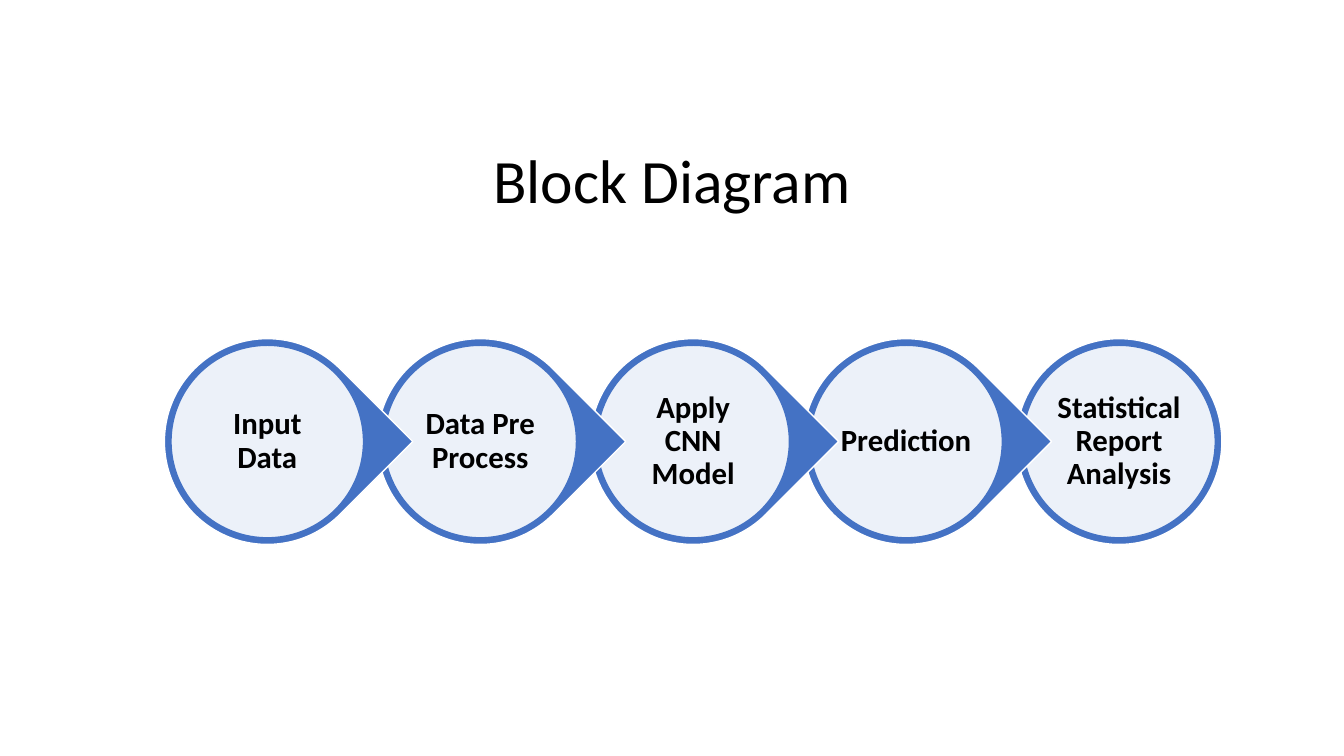
from dataclasses import dataclass

from lxml.etree import SubElement
from pptx import Presentation
from pptx.dml.color import RGBColor
from pptx.enum.shapes import MSO_SHAPE
from pptx.enum.text import MSO_ANCHOR, PP_ALIGN
from pptx.oxml.ns import qn
from pptx.shapes.autoshape import Shape
from pptx.shapes.shapetree import GroupShapes
from pptx.text.text import TextFrame
from pptx.util import Pt


@dataclass(frozen=True)
class Theme:
    blue: RGBColor = RGBColor(0x44, 0x72, 0xC4)
    white: RGBColor = RGBColor(0xFF, 0xFF, 0xFF)
    black: RGBColor = RGBColor(0, 0, 0)
    font: str = "Calibri"
    title: float = 44
    label: float = 22


@dataclass(frozen=True)
class Step:
    label: str
    mid: float
    last: bool


THEME = Theme()
LABELS = ["Input Data", "Data Pre Process", "Apply CNN Model",
          "Prediction", "Statistical Report Analysis"]
FIRST, PITCH, LEVEL = 190.9, 152.1, 315.4
RING, DISC, LABEL = 147, 137.5, 98
STEPS = [Step(label, FIRST + i * PITCH, i == len(LABELS) - 1)
         for i, label in enumerate(LABELS)]


def write(frame: TextFrame, text: str, *, size: float, bold: bool = False) -> None:
    frame.word_wrap = True
    frame.vertical_anchor = MSO_ANCHOR.MIDDLE
    frame.text = text
    para = frame.paragraphs[0]
    para.alignment = PP_ALIGN.CENTER
    para.line_spacing = 0.9
    font = para.runs[0].font
    font.name, font.size, font.bold = THEME.font, Pt(size), bold
    font.color.rgb = THEME.black


def place(mid: float, size: float) -> tuple[Pt, Pt, Pt, Pt]:
    return Pt(mid - size / 2), Pt(LEVEL - size / 2), Pt(size), Pt(size)


def draw_round(shapes: GroupShapes, kind: MSO_SHAPE, mid: float, size: float,
               fill: RGBColor, line: RGBColor) -> Shape:
    shape = shapes.add_shape(kind, *place(mid, size))
    shape.shadow.inherit = False
    shape.fill.solid()
    shape.fill.fore_color.rgb = fill
    shape.line.color.rgb = line
    shape.line.width = Pt(1)
    return shape


def fade(shape: Shape, share: int) -> None:
    color = shape.fill._xPr.find(qn("a:solidFill"))[0]
    SubElement(color, qn("a:alpha")).set("val", str(share * 1000))


def draw_step(shapes: GroupShapes, step: Step) -> None:
    kind = MSO_SHAPE.OVAL if step.last else MSO_SHAPE.TEAR
    ring = draw_round(shapes, kind, step.mid, RING, THEME.blue, THEME.white)
    if not step.last:
        ring.adjustments[0] = 1
        ring.rotation = 45
    disc = draw_round(shapes, MSO_SHAPE.OVAL, step.mid, DISC, THEME.white, THEME.blue)
    fade(disc, 90)
    frame = shapes.add_textbox(*place(step.mid, LABEL)).text_frame
    frame.margin_left = frame.margin_right = Pt(2)
    frame.margin_top = frame.margin_bottom = Pt(2)
    write(frame, step.label, size=THEME.label, bold=True)


def main() -> None:
    deck = Presentation()
    deck.slide_width, deck.slide_height = Pt(960), Pt(540)
    slide = deck.slides.add_slide(deck.slide_layouts[5])
    title = slide.shapes.title
    title.left, title.top = Pt(141.8), Pt(79.2)
    title.width, title.height = Pt(676.8), Pt(103.7)
    write(title.text_frame, "Block Diagram", size=THEME.title)
    group = slide.shapes.add_group_shape()
    for step in reversed(STEPS):
        draw_step(group.shapes, step)
    deck.save("out.pptx")


main()
